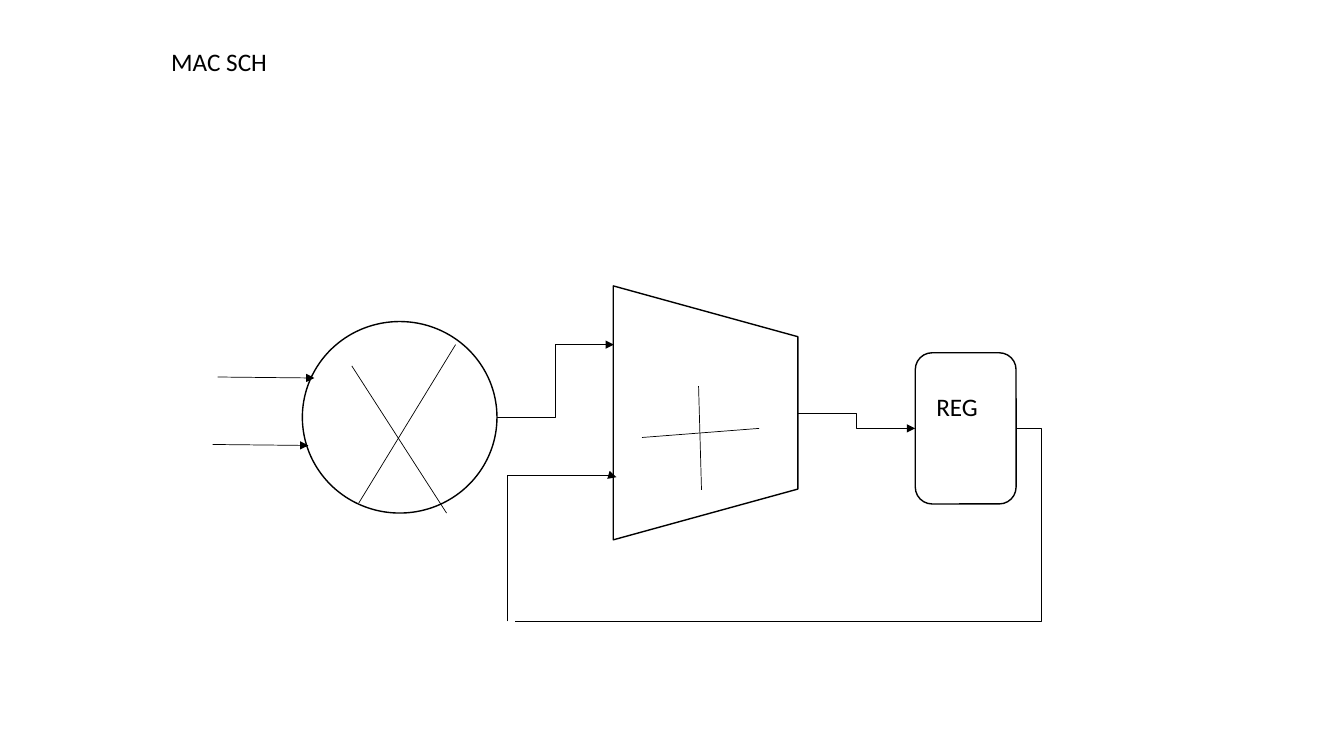
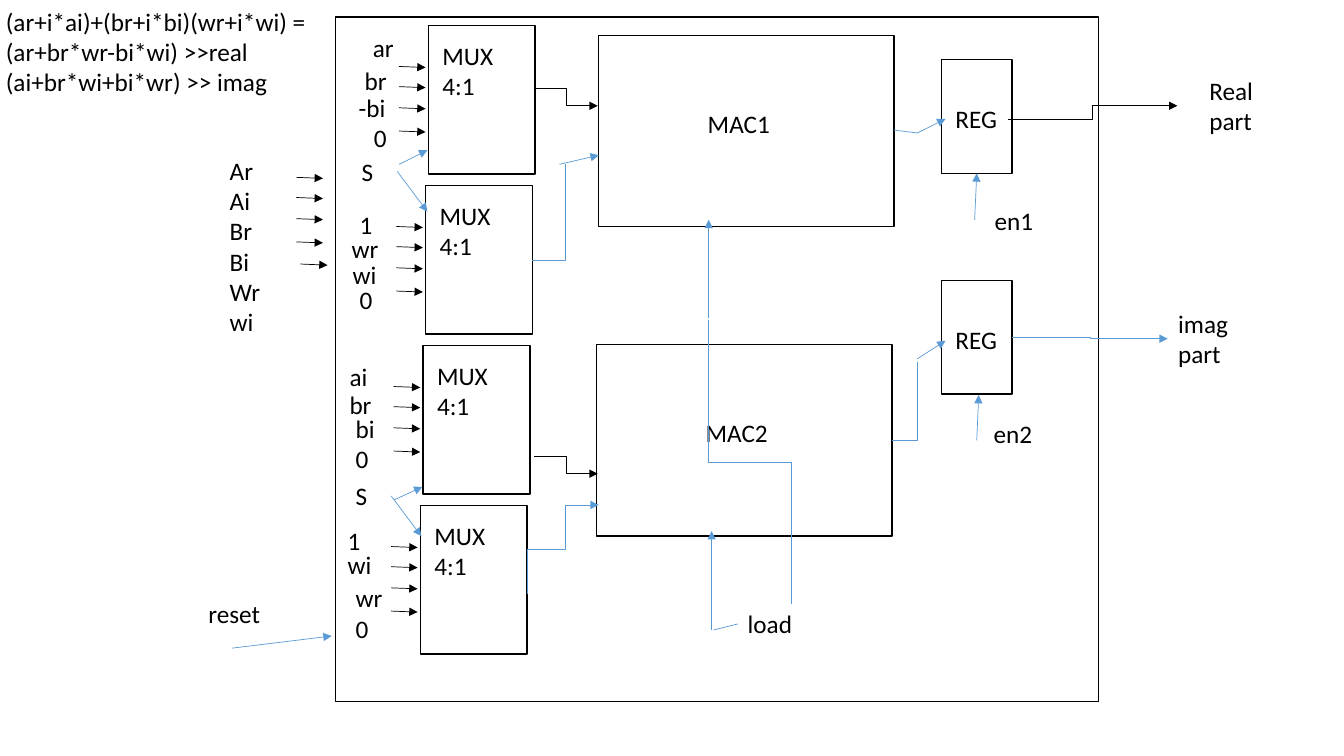
import pptx
import pptx.util
import pptx.dml.color
import pptx.enum.shapes
import pptx.enum.text
import pptx.oxml.ns
import pptx.oxml.xmlchemy

Pt = pptx.util.Pt
qn = pptx.oxml.ns.qn
new_element = pptx.oxml.xmlchemy.OxmlElement
SHAPE = pptx.enum.shapes.MSO_SHAPE
CONNECTOR = pptx.enum.shapes.MSO_CONNECTOR
ALIGN = pptx.enum.text.PP_ALIGN

BLACK, BLUE, WHITE = "000000", "5B9BD5", "FFFFFF"
FONT, TEXT_SIZE = "Calibri", 18
OUTLINE, WIRE = 1, 0.5
LINE_H, TWO_LINES_H = 28.8, 51.1
INPUT_STEPS = (0, 14.4, 29.5, 46.1)


def rgb(value):
    """Turn a hex string into a colour."""
    return pptx.dml.color.RGBColor.from_string(value)


def add_block(s, kind, x, y, w, h, fill=None, rotation=0):
    """Draw an outlined block of the diagram."""
    sp = s.shapes.add_shape(kind, Pt(x), Pt(y), Pt(w), Pt(h))
    sp.shadow.inherit = False
    sp.rotation = rotation
    if fill:
        sp.fill.solid()
        sp.fill.fore_color.rgb = rgb(fill)
    else:
        sp.fill.background()
    sp.line.color.rgb = rgb(BLACK)
    sp.line.width = Pt(OUTLINE)


def add_label(s, text, x, y, w, h=LINE_H, align=ALIGN.LEFT):
    """Write a label, one paragraph per line of text."""
    sp = s.shapes.add_textbox(Pt(x), Pt(y), Pt(w), Pt(h))
    tf = sp.text_frame
    tf.word_wrap = True
    tf.auto_size = pptx.enum.text.MSO_AUTO_SIZE.SHAPE_TO_FIT_TEXT
    tf.text = text
    for p in tf.paragraphs:
        p.alignment = align
        p.font.name = FONT
        p.font.size = Pt(TEXT_SIZE)
        p.font.color.rgb = rgb(BLACK)


def add_wire(s, kind, x1, y1, x2, y2, color, arrow):
    """Draw a thin connector and return it."""
    c = s.shapes.add_connector(kind, Pt(x1), Pt(y1), Pt(x2), Pt(y2))
    c.line.color.rgb = rgb(color)
    c.line.width = Pt(WIRE)
    props = c._element.spPr
    if arrow:
        tail = new_element("a:tailEnd")
        tail.set("type", "triangle")
        props.find(qn("a:ln")).append(tail)
    props.append(new_element("a:effectLst"))
    return c


def add_line(s, x1, y1, x2, y2, color=BLACK, arrow=True):
    """Draw a straight wire."""
    add_wire(s, CONNECTOR.STRAIGHT, x1, y1, x2, y2, color, arrow)


def add_elbow(s, x, y, w, h, flip="", color=BLACK, arrow=True,
              turn=0, corner=False, bend=None):
    """Draw a bent wire in a frame that may be flipped and turned."""
    x1, x2 = (x + w, x) if "h" in flip else (x, x + w)
    y1, y2 = (y + h, y) if "v" in flip else (y, y + h)
    c = add_wire(s, CONNECTOR.ELBOW, x1, y1, x2, y2, color, arrow)
    props = c._element.spPr
    if turn:
        props.find(qn("a:xfrm")).set("rot", str(turn * 60000))
    geom = props.find(qn("a:prstGeom"))
    if corner:
        geom.set("prst", "bentConnector2")
    if bend is not None:
        guide = new_element("a:gd")
        guide.set("name", "adj1")
        guide.set("fmla", f"val {bend}")
        geom.find(qn("a:avLst")).append(guide)


def add_input_arrows(s, x, y):
    """Draw the four arrows of a group of inputs."""
    for step in INPUT_STEPS:
        add_line(s, x, y + step, x + 19, y + step + 0.7)


def add_mux(s, x, y):
    """Draw a multiplexer with its label and input arrows."""
    add_block(s, SHAPE.RECTANGLE, x, y, 76.3, 106.2, WHITE)
    add_label(s, "MUX 4:1", x + 2.9, y + 7.2, 72, TWO_LINES_H)
    add_input_arrows(s, x - 21, y + 29.5)


def add_mac(s, text, x, y):
    """Draw a multiply-accumulate unit."""
    add_block(s, SHAPE.RECTANGLE, x, y, 211, 136.8, WHITE)
    add_label(s, text, x + 23, y + 48.6, 154.1, TWO_LINES_H, ALIGN.CENTER)


def add_register(s, x, y):
    """Draw an output register."""
    add_block(s, SHAPE.RECTANGLE, x, y, 50.4, 81.4, WHITE)
    add_label(s, "REG", x + 2.9, y + 28.1, 45.4)


def build_mac_slide(s):
    """Show the inside of one MAC unit."""
    add_block(s, SHAPE.OVAL, 216, 229.7, 139, 136.8)
    add_block(s, SHAPE.FLOWCHART_MANUAL_OPERATION,
              413.3, 229, 181.4, 131.8, rotation=270)
    add_block(s, SHAPE.FLOWCHART_ALTERNATE_PROCESS, 653.8, 252, 72, 108)

    add_line(s, 155.5, 269.3, 224.6, 270)
    add_line(s, 151.9, 317.5, 220.3, 318.2)
    add_elbow(s, 355, 246.2, 83.5, 51.8, "v")
    add_elbow(s, 367.9, 306, 357.8, 138, "h", arrow=False, bend=-5000)
    add_elbow(s, 349.9, 353.5, 103, 77.8, "hv", turn=90, bend=101300)
    add_elbow(s, 570.2, 295.2, 83.5, 10.8)

    times_sign = ((325.4, 246.2, 256.3, 359.3), (251.3, 261.4, 319, 366.5))
    plus_sign = ((458.6, 312.5, 542.2, 306), (499, 275.8, 501.1, 349.9))
    for stroke in times_sign + plus_sign:
        add_line(s, *stroke, arrow=False)

    add_label(s, "REG", 661.7, 275.8, 54)
    add_label(s, "MAC SCH", 115.2, 29.5, 733.7)


def add_datapath_wires(s):
    """Connect the units of the complex datapath."""
    for y in (63.4, 326.2):
        add_elbow(s, 381.6, y, 45.4, 12.2)
    add_elbow(s, 720, 75.6, 121, 9.4, "v")
    add_elbow(s, 722.9, 241.2, 111.2, 0.7, color=BLUE)
    add_elbow(s, 637.2, 258.5, 18, 56.2, "v", BLUE, False, corner=True)
    add_elbow(s, 358.6, 378.7, 63.4, 27.4, "hv", BLUE, False, turn=90)
    add_elbow(s, 357.8, 139.7, 68.4, 23.8, "", BLUE, False, 90, corner=True)
    add_elbow(s, 434.2, 300.2, 203, 59.8, "h", BLUE, False, turn=270)

    for ends in (
        (655.2, 95, 675.4, 85),         # into the registers
        (655.2, 256.3, 675.4, 243.4),
        (696.2, 157, 697.7, 123.8),     # enables
        (697.7, 314.6, 699.1, 282.2),
        (506.2, 227.5, 506.2, 157),     # load
        (508.3, 450, 508.3, 379.4),
        (165.6, 463, 236.9, 454.3),     # reset
        (403.9, 360.7, 427.7, 360.7),   # into the MAC units
        (399.6, 117.4, 427.7, 110.9),
        (285.1, 117.4, 305.3, 107.3),   # select
        (283.7, 122.4, 305.3, 151.2),
        (281.5, 357.1, 301.7, 347.8),
        (279.4, 354.2, 301, 383),
    ):
        add_line(s, *ends, color=BLUE)
    add_line(s, 638.6, 92.9, 655.2, 95, BLUE, False)
    add_line(s, 509.8, 450, 527, 445.7, BLUE, False)


def build_datapath_slide(s):
    """Show the complex multiply-add datapath."""
    add_block(s, SHAPE.RECTANGLE, 239.8, 12.2, 545, 488.9)
    add_mac(s, "MAC1", 427.7, 25.2)
    add_mac(s, "MAC2", 426.2, 246.2)
    for y in (42.5, 200.2):
        add_register(s, 672.5, y)
    for i in range(4):
        add_mux(s, 306 - 1.9 * i, 18 + 114.3 * i)
    add_input_arrows(s, 211.7, 126.7)
    add_line(s, 214.6, 188.6, 234, 189.4)
    add_datapath_wires(s)

    for text, x, y, w in (
        ("(ar+i*ai)+(br+i*bi)(wr+i*wi) =\n(ar+br*wr-bi*wi) >>real\n"
         "(ai+br*wi+bi*wr) >> imag", -2.9, 0.7, 234.7),
        ("Ar\nAi\nBr\nBi\nWr\nwi", 157, 107.3, 44.6),
        ("Real part", 856.8, 50.4, 54.7),
        ("imag part", 834.5, 216.7, 54.7),
        ("en1", 703.4, 143.3, 44.6),
        ("en2", 702.7, 295.2, 44.6),
        ("reset", 141.8, 424.1, 159.1),
        ("load", 527, 431.3, 77.8),
        ("S", 251.3, 108, 32.4),
        ("S", 247, 339.8, 32.4),
        ("ar", 259.2, 19.4, 31),
        ("br", 253.4, 43.2, 48.2),
        ("-bi", 249.1, 62.6, 48.2),
        ("0", 259.9, 83.5, 48.2),
        ("1", 249.8, 146.2, 31),
        ("wr", 244.1, 163.4, 48.2),
        ("wi", 244.8, 181.4, 48.2),
        ("0", 249.8, 199.4, 48.2),
        ("ai", 242.6, 254.9, 42.5),
        ("br", 242.6, 274.3, 40.3),
        ("bi\n0", 247, 291.6, 33.8),
        ("1", 241.2, 371.5, 42.5),
        ("wi", 241.2, 388.8, 40.3),
        ("wr\v0", 247, 412.6, 33.8),
    ):
        add_label(s, text, x, y, w)


def main():
    """Build the presentation and save it."""
    prs = pptx.Presentation()
    prs.slide_width, prs.slide_height = Pt(960), Pt(540)
    blank = prs.slide_layouts[6]
    for build in (build_mac_slide, build_datapath_slide):
        build(prs.slides.add_slide(blank))
    prs.save("out.pptx")


main()
